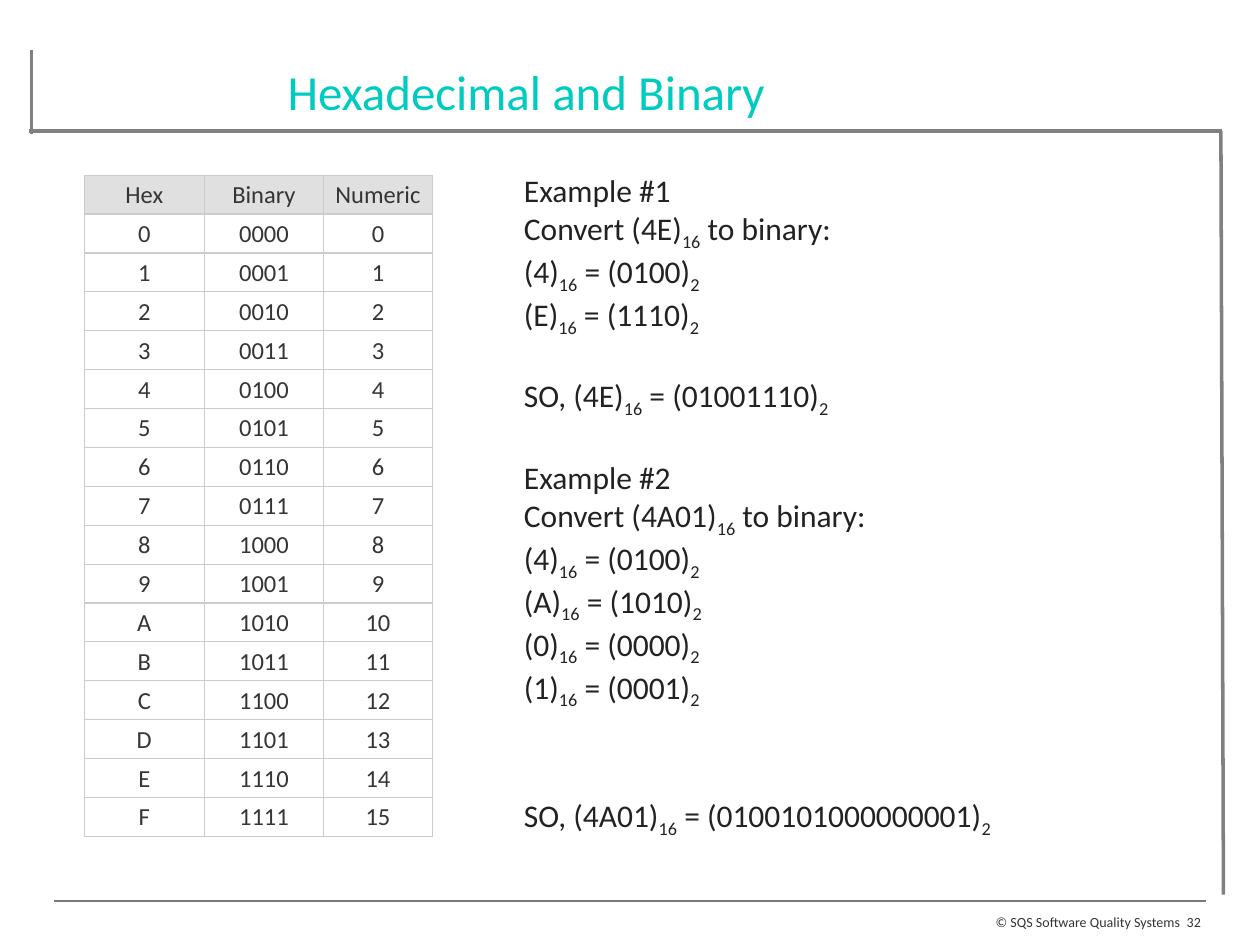
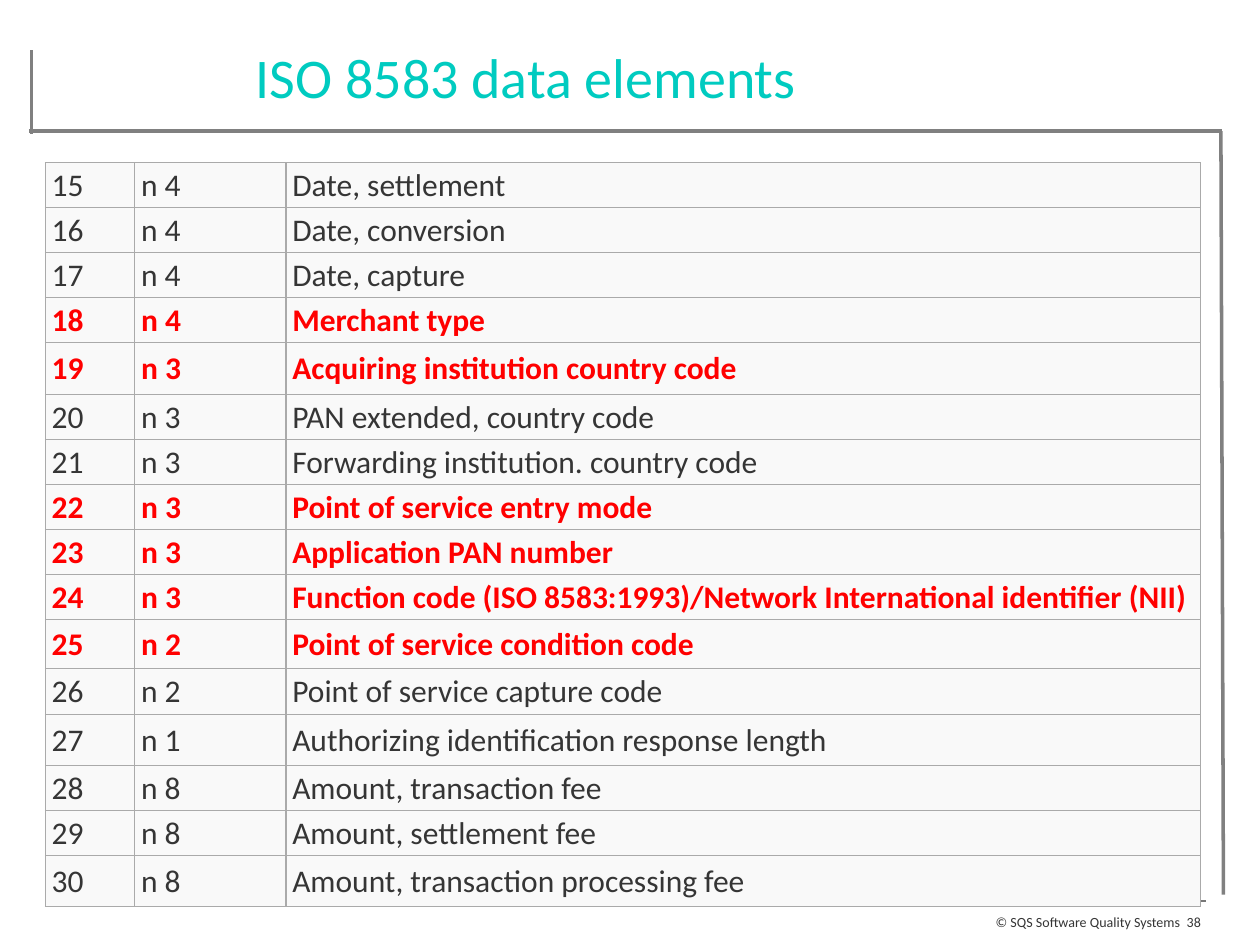
from dataclasses import dataclass, field

from lxml.etree import SubElement
from pptx import Presentation
from pptx.dml.color import RGBColor as Rgb
from pptx.enum.shapes import MSO_CONNECTOR as Link
from pptx.enum.text import MSO_ANCHOR as Anchor, PP_ALIGN as Align
from pptx.oxml.ns import qn
from pptx.slide import Slide
from pptx.text.text import TextFrame as Frame
from pptx.util import Inches, Pt

FONT = "Calibri"
HUES = {
    "title": "00CBC0", "text": "353535", "body": "222222", "alert": "FF0000",
    "frame": "808080", "rule": "777777", "white": "FFFFFF", "head": "E0E0E0",
    "grid": "CCCCCC", "edge": "AAAAAA", "pale": "F9F9F9",
}


@dataclass
class Line:
    x1: float
    y1: float
    x2: float
    y2: float
    hue: str = "frame"
    width: float = 2


@dataclass
class Row:
    cells: list[str]
    height: float
    fill: str
    hue: str = "text"
    bold: bool = False


@dataclass
class Grid:
    left: float
    top: float
    cols: list[float]
    rows: list[Row]
    edge: str
    size: float
    pad: tuple[float, float, float]  # sides, top, bottom
    align: Align = Align.LEFT


@dataclass
class Para:
    text: str  # parts between underscores are set as subscript
    gap: float = 0


@dataclass
class Page:
    title: str
    top: float
    size: float
    number: int
    grid: Grid
    notes: list[Para] = field(default_factory=list)


# Lines that frame every slide
LINES = [
    Line(0.43, 7.15, 9.57, 7.15, "rule", 0.75),
    Line(0.23, 1.04, 9.7, 1.04),
    Line(0.25, 1.06, 0.25, 0.4),
    Line(9.69, 1.04, 9.71, 7.1),
]


def tint(name: str) -> Rgb:
    return Rgb.from_string(HUES[name])


def write(frame: Frame, text: str, *, size: float, hue: str = "text",
          bold: bool = False, align: Align = Align.LEFT, gap: float = 0,
          lead: float | None = None, more: bool = False) -> None:
    """Write one paragraph; more=True adds it after those already there."""
    para = frame.add_paragraph() if more else frame.paragraphs[0]
    para.alignment = align
    if gap:
        para.space_before = Pt(gap)
    if lead:
        para.line_spacing = lead
    for index, part in enumerate(text.split("_")):
        if not part:
            continue
        run = para.add_run()
        run.text = part
        font = run.font
        font.name, font.size, font.bold = FONT, Pt(size), bold
        font.color.rgb = tint(hue)
        if index % 2:
            run._r.get_or_add_rPr().set("baseline", "-25000")


def add_box(slide: Slide, left: float, top: float, width: float,
            height: float, pad: bool = True) -> Frame:
    frame = slide.shapes.add_textbox(
        Inches(left), Inches(top), Inches(width), Inches(height)).text_frame
    frame.word_wrap = True
    if not pad:
        frame.margin_left = frame.margin_right = 0
        frame.margin_top = frame.margin_bottom = 0
    return frame


def draw_line(slide: Slide, line: Line) -> None:
    link = slide.shapes.add_connector(
        Link.STRAIGHT, Inches(line.x1), Inches(line.y1),
        Inches(line.x2), Inches(line.y2))
    link.line.color.rgb = tint(line.hue)
    link.line.width = Pt(line.width)
    SubElement(link._element.spPr, qn("a:effectLst"))


def draw_grid(slide: Slide, grid: Grid) -> None:
    table = slide.shapes.add_table(
        len(grid.rows), len(grid.cols), Inches(grid.left), Inches(grid.top),
        Inches(sum(grid.cols)), Inches(sum(r.height for r in grid.rows))).table
    table.first_row = table.horz_banding = False
    for col, width in zip(table.columns, grid.cols):
        col.width = Inches(width)
    side, top, base = map(Inches, grid.pad)
    for line, row in zip(table.rows, grid.rows):
        line.height = Inches(row.height)
        for cell, text in zip(line.cells, row.cells):
            cell.margin_left = cell.margin_right = side
            cell.margin_top, cell.margin_bottom = top, base
            cell.vertical_anchor = Anchor.MIDDLE
            props = cell._tc.get_or_add_tcPr()
            for edge in ("lnL", "lnR", "lnT", "lnB"):
                rule = SubElement(props, qn(f"a:{edge}"), w=str(Pt(0.75)))
                paint = SubElement(rule, qn("a:solidFill"))
                SubElement(paint, qn("a:srgbClr"), val=HUES[grid.edge])
            cell.fill.solid()
            cell.fill.fore_color.rgb = tint(row.fill)
            write(cell.text_frame, text, size=grid.size, hue=row.hue,
                  bold=row.bold, align=grid.align)


def draw_page(deck: Presentation, page: Page) -> None:
    slide = deck.slides.add_slide(deck.slide_layouts[5])
    # Title
    title = slide.shapes.title
    title.left, title.top = Inches(0), Inches(page.top)
    title.width, title.height = Inches(8.35), Inches(0.79)
    title.text_frame.vertical_anchor = Anchor.TOP
    write(title.text_frame, page.title, size=page.size, hue="title",
          align=Align.CENTER)
    # Frame and content
    for line in LINES:
        draw_line(slide, line)
    draw_grid(slide, page.grid)
    if page.notes:
        frame = add_box(slide, 4.06, 1.31, 5, 4.75)
        for index, note in enumerate(page.notes):
            write(frame, note.text, size=18, hue="body", gap=note.gap,
                  more=index > 0)
    # Footer
    write(add_box(slide, 0.43, 7.26, 8.94, 0.15, pad=False),
          "© SQS Software Quality Systems", size=8, align=Align.RIGHT,
          lead=0.95)
    write(add_box(slide, 9.38, 7.26, 0.19, 0.14, pad=False),
          str(page.number), size=8, align=Align.CENTER, lead=0.95)


def solve(index: int, code: str, before: float, after: float) -> list[Para]:
    """Spell out how a hex code turns into bits, digit by digit."""
    bits = [f"{int(digit, 16):04b}" for digit in code]
    return [
        Para(f"Example #{index}", before),
        Para(f"Convert ({code})_16_ to binary:"),
        *(Para(f"({digit})_16_ = ({bit})_2_")
          for digit, bit in zip(code, bits)),
        Para(f"SO, ({code})_16_ = ({''.join(bits)})_2_", after),
    ]


def hex_grid() -> Grid:
    height = 5.25 / 17
    rows = [Row(["Hex", "Binary", "Numeric"], height, "head")]
    rows += [Row([f"{n:X}", f"{n:04b}", str(n)], height, "white")
             for n in range(16)]
    return Grid(0.67, 1.39, [0.95, 0.95, 0.86], rows, "grid", 14,
                (0.04, 0.04, 0.03), Align.CENTER)


# Data elements, numbered from 15
FIELDS = [
    ("n 4", "Date, settlement"),
    ("n 4", "Date, conversion"),
    ("n 4", "Date, capture"),
    ("n 4", "Merchant type"),
    ("n 3", "Acquiring institution country code"),
    ("n 3", "PAN extended, country code"),
    ("n 3", "Forwarding institution. country code"),
    ("n 3", "Point of service entry mode"),
    ("n 3", "Application PAN number"),
    ("n 3", "Function code (ISO 8583:1993)/Network International "
            "identifier (NII)"),
    ("n 2", "Point of service condition code"),
    ("n 2", "Point of service capture code"),
    ("n 1", "Authorizing identification response length"),
    ("n 8", "Amount, transaction fee"),
    ("n 8", "Amount, settlement fee"),
    ("n 8", "Amount, transaction processing fee"),
]
ALERTS = {18, 19, 22, 23, 24, 25}
TALL = {19: 0.41, 25: 0.39, 26: 0.37, 27: 0.4, 30: 0.41}


def field_grid() -> Grid:
    height = (5.91 - sum(TALL.values())) / (len(FIELDS) - len(TALL))
    rows = []
    for number, (kind, name) in enumerate(FIELDS, 15):
        alert = number in ALERTS
        rows.append(Row([str(number), kind, name], TALL.get(number, height),
                        "pale", "alert" if alert else "text", alert))
    return Grid(0.36, 1.29, [0.71, 1.2, 7.26], rows, "edge", 18,
                (0.05, 0.03, 0.02))


def main() -> None:
    deck = Presentation()
    deck.slide_width, deck.slide_height = Inches(10), Inches(7.5)
    notes = solve(1, "4E", 0, 22) + solve(2, "4A01", 22, 49)
    draw_page(deck, Page("Hexadecimal and Binary", 0.44, 28, 32,
                         hex_grid(), notes))
    draw_page(deck, Page("ISO 8583 data elements", 0.29, 32, 38,
                         field_grid()))
    deck.save("out.pptx")


if __name__ == "__main__":
    main()
